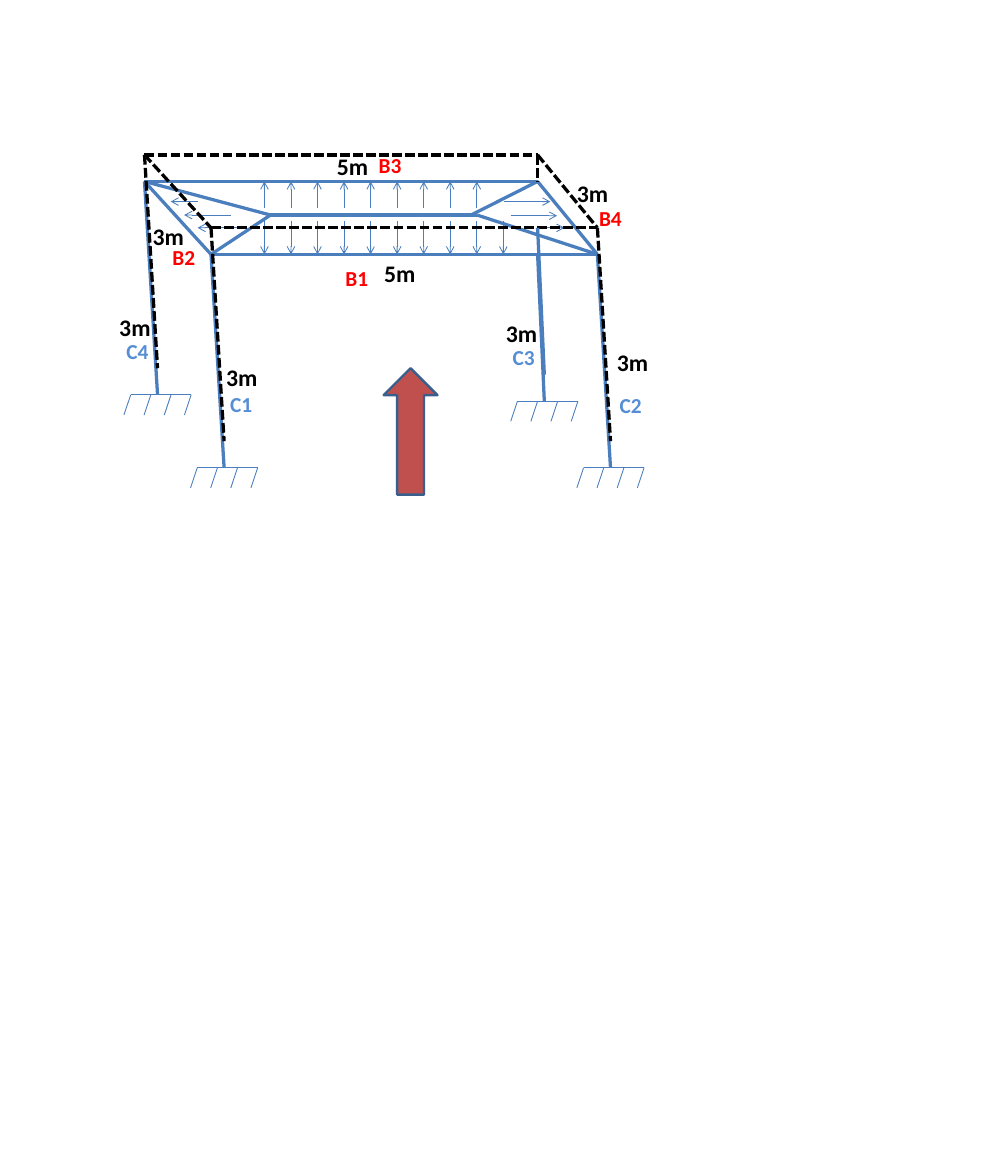
from lxml import etree
from pptx import Presentation
from pptx.dml.color import RGBColor
from pptx.enum.dml import MSO_LINE
from pptx.enum.shapes import MSO_CONNECTOR, MSO_SHAPE
from pptx.enum.text import MSO_AUTO_SIZE
from pptx.oxml.ns import qn
from pptx.util import Cm, Pt

STEEL = RGBColor(0x4B, 0x7E, 0xBC)
BLACK = RGBColor(0, 0, 0)
BEAM_RED = RGBColor(0xFF, 0, 0)
COLUMN_BLUE = RGBColor(0x55, 0x8E, 0xD5)
ARROW_FILL = RGBColor(0xC0, 0x50, 0x4D)
ARROW_EDGE = RGBColor(0x3A, 0x5F, 0x8C)

THICK, THIN = 2.75, 0.75

# Points are (x, y) in centimetres.
BACK_LEFT, BACK_RIGHT = (4.3, 5.4), (16, 5.4)
FRONT_LEFT, FRONT_RIGHT = (6.28, 7.57), (17.78, 7.57)
BACK_RIGHT_SEEN = (16, 7.57)
RIDGE_Y = 6.4
RIDGE_LEFT, RIDGE_RIGHT = (8.05, RIDGE_Y), (14.2, RIDGE_Y)
RIDGE_RIGHT_BACK = (14.02, RIDGE_Y)
RISE = 0.79
COLUMN = (0.39, 6.35)
SHORT_COLUMN = (0.2, 4.37)

SLAB_EDGES = [(BACK_LEFT, FRONT_LEFT), (BACK_LEFT, BACK_RIGHT),
              (FRONT_LEFT, FRONT_RIGHT), (BACK_RIGHT, FRONT_RIGHT)]
YIELD_LINES = [(RIDGE_LEFT, RIDGE_RIGHT), (BACK_LEFT, RIDGE_LEFT),
               (FRONT_LEFT, RIDGE_LEFT), (BACK_RIGHT, RIDGE_RIGHT_BACK),
               (FRONT_RIGHT, RIDGE_RIGHT)]
LONG_COLUMNS = [BACK_LEFT, FRONT_LEFT, FRONT_RIGHT]

LOAD_X, LOAD_STEP = 7.87, 0.79
SIDE_LOADS = [(15, 16.38, 6), (15.2, 16.58, 6.42), (16, 16.8, 6.78),
              (7.27, 5.88, 6.78), (5.88, 5.08, 6), (6.87, 5.48, 6.4)]

LENGTHS = [("3m", 16.92, 5.21), ("5m", 11.18, 7.57), ("5m", 9.78, 4.39),
           ("3m", 4.29, 6.48), ("3m", 18.11, 10.24), ("3m", 6.48, 10.67),
           ("3m", 3.3, 9.17), ("3m", 14.81, 9.37)]
COLUMN_NAMES = [("C1", 6.6, 11.51), ("C2", 18.19, 11.56),
                ("C3", 15.01, 10.13), ("C4", 3.51, 9.93)]
BEAM_NAMES = [("B1", 10.03, 7.77), ("B2", 4.88, 7.14),
              ("B3", 11.02, 4.39), ("B4", 17.58, 5.99)]


def shifted(point, dx, dy):
    return point[0] + dx, point[1] + dy


def raised(point):
    return shifted(point, 0, -RISE)


def add_line(slide, start, end, width=THICK, color=STEEL, dashed=False, arrow=False):
    line = slide.shapes.add_connector(
        MSO_CONNECTOR.STRAIGHT, *(Cm(value) for value in (*start, *end)))
    line.line.color.rgb = color
    line.line.width = Pt(width)
    if dashed:
        line.line.dash_style = MSO_LINE.SQUARE_DOT
    properties = line._element.spPr
    if arrow:
        etree.SubElement(properties.find(qn("a:ln")), qn("a:tailEnd"), type="arrow")
    etree.SubElement(properties, qn("a:effectLst"))


def add_support(slide, foot):
    """Fixed support: a ground line with four hatch strokes below it."""
    ground = shifted(foot, -0.8, 0)
    add_line(slide, ground, shifted(ground, 1.8, 0), THIN)
    for i in range(4):
        top = shifted(ground, 0.6 * i, 0)
        add_line(slide, top, shifted(top, -0.2, 0.6), THIN)


def add_frame(slide):
    for start, end in SLAB_EDGES + YIELD_LINES:
        add_line(slide, start, end)
    columns = [(top, COLUMN) for top in LONG_COLUMNS]
    for top, span in columns + [(BACK_RIGHT_SEEN, SHORT_COLUMN)]:
        foot = shifted(top, *span)
        add_line(slide, top, foot)
        add_support(slide, foot)


def add_slab_loads(slide):
    """Arrows from the ridge to the four slab edges."""
    for i in range(10):
        x = LOAD_X + LOAD_STEP * i
        add_line(slide, (x, 6.58), (x, FRONT_LEFT[1]), THIN, arrow=True)
    for i in range(9):
        x = LOAD_X + LOAD_STEP * i
        add_line(slide, (x, 6.2), (x, BACK_LEFT[1]), THIN, arrow=True)
    for start_x, end_x, y in SIDE_LOADS:
        add_line(slide, (start_x, y), (end_x, y), THIN, arrow=True)


def add_raised_frame(slide):
    """Dashed outline of the frame, lifted above the slab."""
    edges = [(raised(start), raised(end)) for start, end in SLAB_EDGES]
    edges += [(raised(top), shifted(raised(top), *COLUMN)) for top in LONG_COLUMNS]
    edges.append((raised(BACK_RIGHT), BACK_RIGHT))
    for start, end in edges:
        add_line(slide, start, end, color=BLACK, dashed=True)
    hidden_top = raised(BACK_RIGHT_SEEN)
    add_line(slide, hidden_top, shifted(hidden_top, *SHORT_COLUMN))


def add_labels(slide, labels, size, color, width, height):
    for text, left, top in labels:
        box = slide.shapes.add_textbox(Cm(left), Cm(top), Cm(width), Cm(height))
        frame = box.text_frame
        frame.word_wrap = False
        frame.auto_size = MSO_AUTO_SIZE.SHAPE_TO_FIT_TEXT
        frame.text = text
        font = frame.paragraphs[0].font
        font.name = "Calibri"
        font.size = Pt(size)
        font.bold = True
        font.color.rgb = color


def add_view_arrow(slide):
    arrow = slide.shapes.add_shape(
        MSO_SHAPE.UP_ARROW, Cm(11.42), Cm(10.96), Cm(1.6), Cm(3.76))
    arrow.shadow.inherit = False
    arrow.fill.solid()
    arrow.fill.fore_color.rgb = ARROW_FILL
    arrow.line.color.rgb = ARROW_EDGE
    arrow.line.width = Pt(2)


def main():
    prs = Presentation()
    prs.slide_width, prs.slide_height = Cm(30), Cm(35)
    slide = prs.slides.add_slide(prs.slide_layouts[6])
    add_frame(slide)
    add_labels(slide, LENGTHS, 20, BLACK, 1.45, 1.11)
    add_slab_loads(slide)
    add_labels(slide, COLUMN_NAMES, 18, COLUMN_BLUE, 1.18, 1.03)
    add_labels(slide, BEAM_NAMES, 18, BEAM_RED, 1.18, 1.03)
    add_raised_frame(slide)
    add_view_arrow(slide)
    prs.save("out.pptx")


if __name__ == "__main__":
    main()
